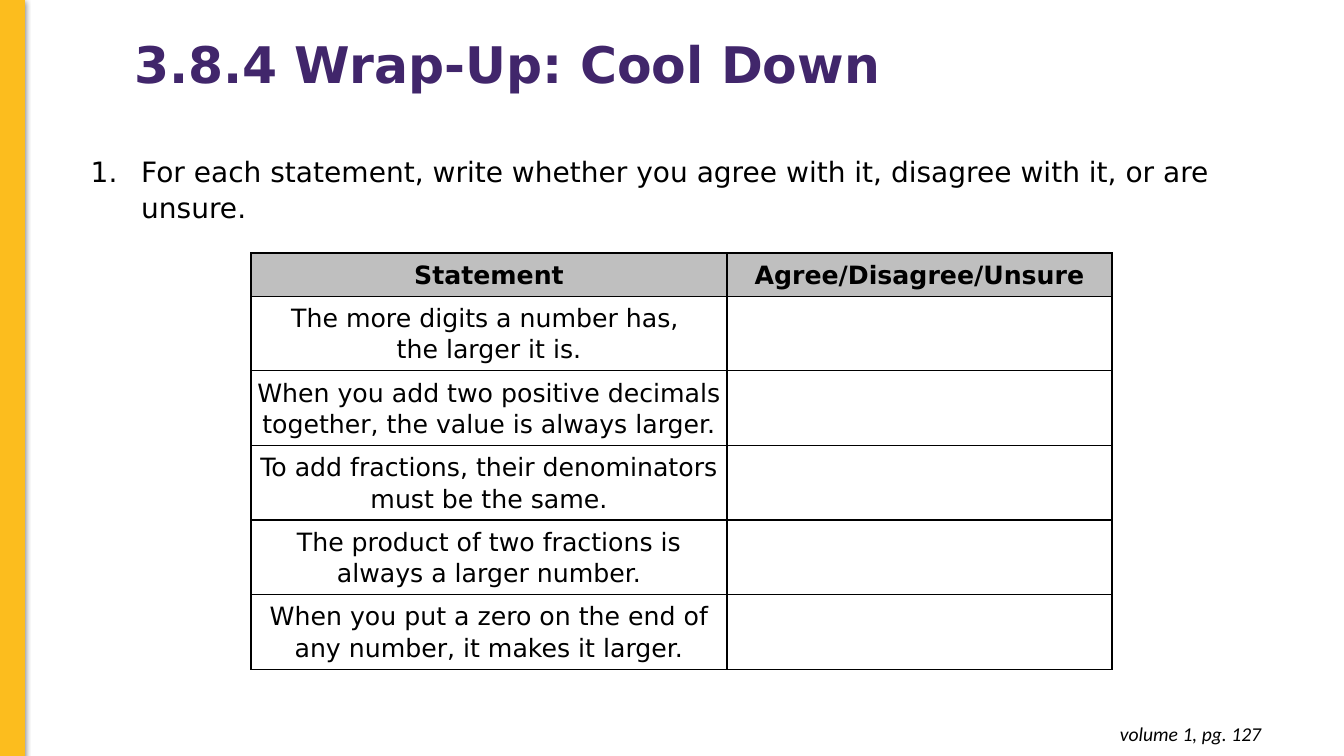
from dataclasses import dataclass

from lxml.etree import SubElement
from pptx import Presentation
from pptx.dml.color import RGBColor
from pptx.enum.shapes import MSO_SHAPE
from pptx.enum.text import MSO_ANCHOR, MSO_AUTO_SIZE, PP_ALIGN
from pptx.oxml import parse_xml
from pptx.oxml.ns import nsdecls, qn
from pptx.util import Emu, Pt

EMU_PER_PX = 9144  # 100 px to the inch
SANS = "DejaVu Sans"
BLACK = RGBColor(0x00, 0x00, 0x00)
PURPLE = RGBColor(0x41, 0x26, 0x6B)
YELLOW = RGBColor(0xFC, 0xBD, 0x1E)
GREY = RGBColor(0xBF, 0xBF, 0xBF)

HEADERS = ["Statement", "Agree/Disagree/Unsure"]
STATEMENTS = [
    "The more digits a number has, \nthe larger it is.",
    "When you add two positive decimals together, the value is always larger.",
    "To add fractions, their denominators must be the same.",
    "The product of two fractions is always a larger number.",
    "When you put a zero on the end of any number, it makes it larger.",
]
COLUMN_WIDTHS = [472, 382]
HEADER_HEIGHT, STATEMENT_HEIGHT = 43, 74


@dataclass(frozen=True)
class Area:
    left: int
    top: int
    width: int
    height: int

    def emu(self) -> list[Emu]:
        return [px(n) for n in (self.left, self.top, self.width, self.height)]


@dataclass(frozen=True)
class TextStyle:
    size: int
    font: str = SANS
    color: RGBColor = BLACK
    bold: bool = False
    italic: bool = False
    align: PP_ALIGN = PP_ALIGN.LEFT
    line_spacing: float = 1.0


TITLE = TextStyle(36, color=PURPLE, bold=True, line_spacing=0.9)
TASK = TextStyle(20, line_spacing=1.07)
HEADER = TextStyle(18, bold=True, align=PP_ALIGN.CENTER, line_spacing=1.07)
STATEMENT = TextStyle(18, align=PP_ALIGN.CENTER, line_spacing=1.07)
PAGE_NOTE = TextStyle(14, font="Calibri", italic=True, align=PP_ALIGN.RIGHT)


def px(count: int) -> Emu:
    return Emu(count * EMU_PER_PX)


def write(para, text: str, style: TextStyle) -> None:
    para.alignment = style.align
    para.line_spacing = style.line_spacing
    para.space_before = Pt(0)
    for number, line in enumerate(text.split("\n")):
        if number:
            para.add_line_break()
        span = para.add_run()
        span.text = line
        span.font.name = style.font
        span.font.size = Pt(style.size)
        span.font.color.rgb = style.color
        span.font.bold = style.bold
        span.font.italic = style.italic


def place(box, area: Area, anchor: MSO_ANCHOR):
    """Move a text shape, set up its frame and return its first paragraph."""
    box.left, box.top, box.width, box.height = area.emu()
    frame = box.text_frame
    frame.word_wrap = True
    frame.auto_size = MSO_AUTO_SIZE.NONE
    frame.vertical_anchor = anchor
    return frame.paragraphs[0]


def number_paragraph(para, indent: int) -> None:
    properties = para._p.get_or_add_pPr()
    properties.set("marL", str(px(indent)))
    properties.set("indent", str(-px(indent)))
    SubElement(properties, qn("a:buFont"), typeface=SANS)
    SubElement(properties, qn("a:buAutoNum"), type="arabicPeriod")


def add_side_bar(page) -> None:
    bar = page.shapes.add_shape(MSO_SHAPE.RECTANGLE, *Area(0, 0, 24, 751).emu())
    bar.fill.solid()
    bar.fill.fore_color.rgb = YELLOW
    bar.line.color.rgb = YELLOW
    bar.line.width = Pt(0.75)
    bar.shadow.inherit = False
    effects = bar._element.spPr.find(qn("a:effectLst"))
    effects.append(parse_xml(
        f'<a:outerShdw {nsdecls("a")} blurRad="{Pt(4.5)}" dist="{Pt(1.5)}" '
        'dir="5400000" algn="t" rotWithShape="0">'
        '<a:srgbClr val="000000"><a:alpha val="50000"/></a:srgbClr></a:outerShdw>'
    ))


def add_borders(cell) -> None:
    properties = cell._tc.get_or_add_tcPr()
    for side in ("lnL", "lnR", "lnT", "lnB"):
        properties.append(parse_xml(
            f'<a:{side} {nsdecls("a")} w="{Pt(1)}"><a:solidFill>'
            f'<a:srgbClr val="{BLACK}"/></a:solidFill></a:{side}>'
        ))


def add_statement_table(page) -> None:
    rows = [HEADERS] + [[statement, ""] for statement in STATEMENTS]
    heights = [HEADER_HEIGHT] + [STATEMENT_HEIGHT] * len(STATEMENTS)
    area = Area(249, 251, sum(COLUMN_WIDTHS), sum(heights))
    table = page.shapes.add_table(len(rows), len(HEADERS), *area.emu()).table
    table.first_row = table.horz_banding = False
    for column, width in zip(table.columns, COLUMN_WIDTHS):
        column.width = px(width)
    for row_number, (row, height, texts) in enumerate(zip(table.rows, heights, rows)):
        row.height = px(height)
        for cell, text in zip(row.cells, texts):
            cell.margin_left = cell.margin_right = px(5)
            cell.margin_top = cell.margin_bottom = px(5)
            cell.vertical_anchor = MSO_ANCHOR.MIDDLE
            add_borders(cell)
            if row_number == 0:
                cell.fill.solid()
                cell.fill.fore_color.rgb = GREY
            else:
                cell.fill.background()
            if text:
                style = STATEMENT if row_number else HEADER
                write(cell.text_frame.paragraphs[0], text, style)


def main() -> None:
    deck = Presentation()
    deck.slide_width, deck.slide_height = px(1333), px(750)
    page = deck.slides.add_slide(deck.slide_layouts[1])

    title = place(page.shapes.title, Area(123, 34, 877, 65), MSO_ANCHOR.MIDDLE)
    write(title, "3.8.4 Wrap-Up: Cool Down", TITLE)

    task = place(page.placeholders[1], Area(80, 146, 1192, 80), MSO_ANCHOR.TOP)
    number_paragraph(task, 50)
    write(task, "For each statement, write whether you agree with it, "
                "disagree with it, or are unsure.", TASK)

    add_side_bar(page)
    add_statement_table(page)

    note_area = Area(973, 706, 288, 44)
    note_box = page.shapes.add_textbox(*note_area.emu())
    note = place(note_box, note_area, MSO_ANCHOR.TOP)
    note_box.text_frame.margin_top = note_box.text_frame.margin_bottom = px(10)
    write(note, "volume 1, pg. 127", PAGE_NOTE)

    deck.save("out.pptx")


if __name__ == "__main__":
    main()
